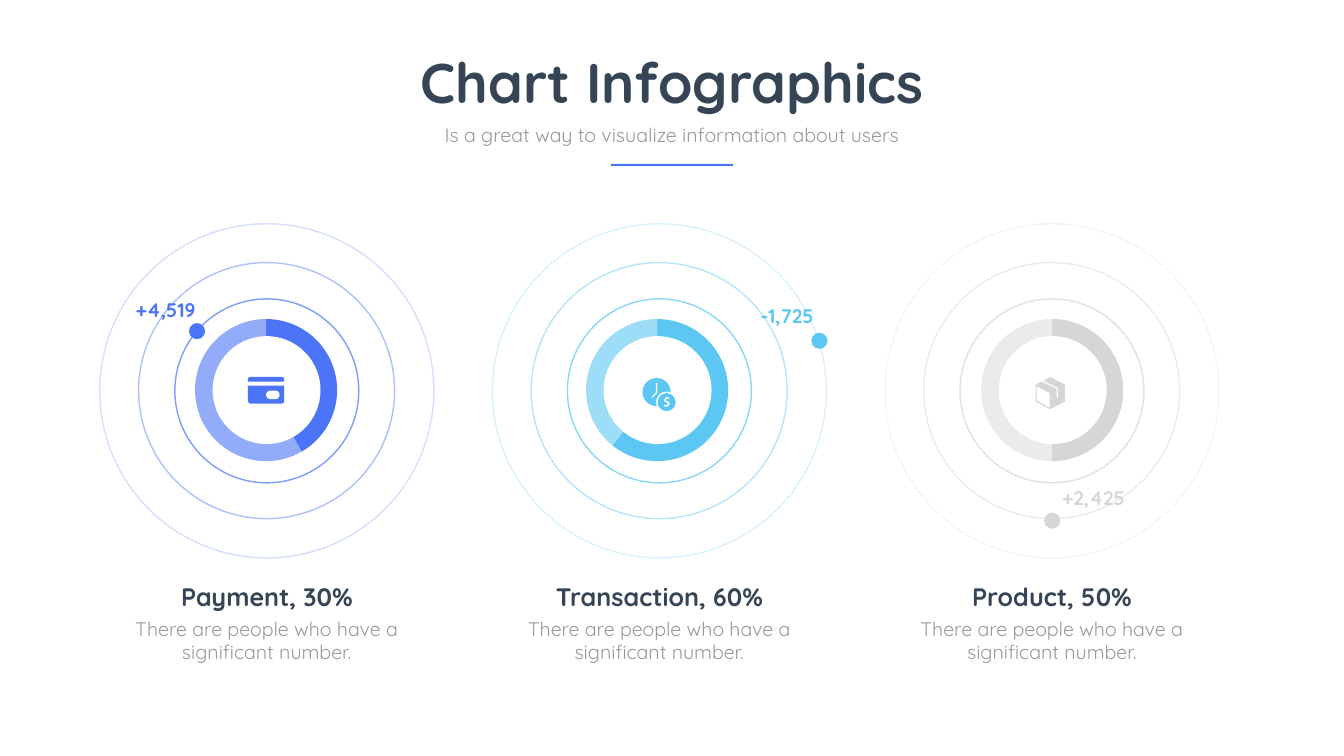
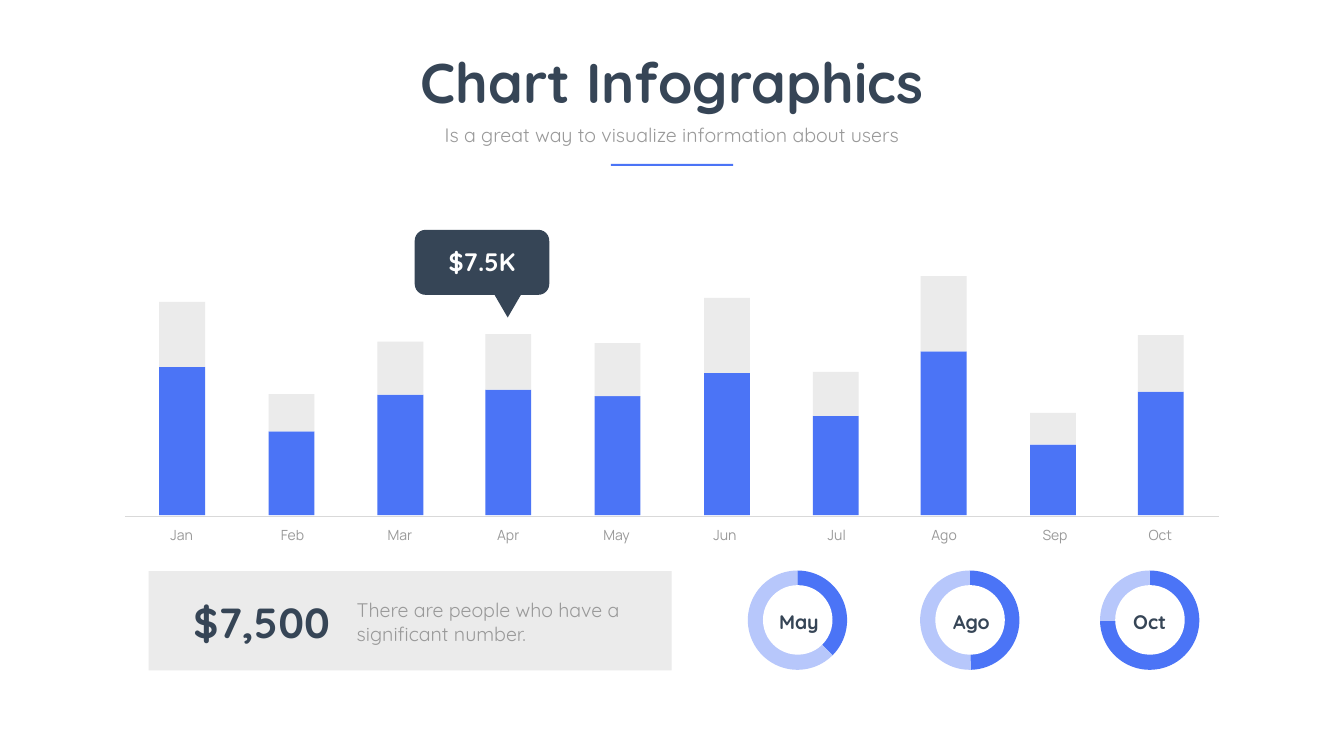
from dataclasses import dataclass

from lxml.etree import SubElement
from pptx import Presentation
from pptx.dml.color import RGBColor
from pptx.enum.shapes import MSO_CONNECTOR, MSO_SHAPE
from pptx.enum.text import MSO_AUTO_SIZE, PP_ALIGN
from pptx.oxml.ns import qn
from pptx.util import Pt

PX = 9144  # EMU per px, 100 px to the inch


@dataclass(frozen=True)
class Theme:
    blue: str = "4B74F6"
    blue_soft: str = "93ACFA"
    blue_pale: str = "B7C7FB"
    sky: str = "5BC7F2"
    sky_soft: str = "9DDDF7"
    silver: str = "D5D6D5"
    mist: str = "EBEBEB"
    axis: str = "D9D9D9"
    ink: str = "364556"
    grey: str = "999999"
    white: str = "FFFFFF"
    font: str = "Quicksand"
    axis_font: str = "Manrope"
    title: int = 80
    amount: int = 60
    heading: int = 36
    body: int = 28
    month: int = 20


theme = Theme()
TITLE = {"size": Pt(theme.title), "bold": True}
AMOUNT = {"size": Pt(theme.amount), "bold": True}
HEADING = {"size": Pt(theme.heading), "bold": True}
LABEL = {"size": Pt(theme.body), "bold": True}
BODY = {"size": Pt(theme.body), "bold": False}
MONTH = {"name": theme.axis_font, "size": Pt(theme.month), "bold": False}


def add_figure(slide, kind, left, top, width, height, fill=None, **format_values):
    figure = slide.shapes.add_shape(kind, left * PX, top * PX, width * PX, height * PX)
    figure.shadow.inherit = False
    figure.line.fill.background()
    if fill:
        figure.fill.solid()
        figure.fill.fore_color.rgb = RGBColor.from_string(fill)
    else:
        figure.fill.background()
    for attribute, value in format_values.items():
        setattr(figure, attribute, value)
    return figure


def add_text(slide, words, left, top, width, height, style, colour, **paragraph_format):
    box = slide.shapes.add_textbox(left * PX, top * PX, width * PX, height * PX)
    box.text_frame.word_wrap = True
    box.text_frame.auto_size = MSO_AUTO_SIZE.SHAPE_TO_FIT_TEXT
    paragraph = box.text_frame.paragraphs[0]
    for attribute, value in {"alignment": PP_ALIGN.CENTER, **paragraph_format}.items():
        setattr(paragraph, attribute, value)
    run = paragraph.add_run()
    run.text = words
    for attribute, value in {"name": theme.font, **style}.items():
        setattr(run.font, attribute, value)
    run.font.color.rgb = RGBColor.from_string(colour)


deck = Presentation()
deck.slide_width = 2667 * PX
deck.slide_height = 1500 * PX
orbits = deck.slides.add_slide(deck.slide_layouts[6])
months = deck.slides.add_slide(deck.slide_layouts[6])
caption = "There are people who have a significant number."

# Shared header
for slide in (orbits, months):
    add_text(slide, "Chart Infographics", 688, 90, 1291, 145, TITLE, theme.ink)
    add_text(slide, "Is a great way to visualize information about users",
             855, 238, 956, 57, BODY, theme.grey)
    add_figure(slide, MSO_SHAPE.RECTANGLE, 1212, 325, 243, 4, theme.blue)

# Progress donuts: slide, centre, diameter, hole, end angle, colour, track
donuts = [
    (orbits, 528, 774, 282, 214, 60, theme.blue, theme.blue_soft),
    (orbits, 1304, 774, 282, 214, 129, theme.sky, theme.sky_soft),
    (orbits, 2088, 774, 282, 214, 90, theme.silver, theme.mist),
    (months, 1582, 1230, 197, 138, 45, theme.blue, theme.blue_pale),
    (months, 1924, 1230, 197, 138, 89, theme.blue, theme.blue_pale),
    (months, 2281, 1230, 197, 138, 179, theme.blue, theme.blue_pale),
]
for slide, centre_x, centre_y, diameter, hole, end, colour, track in donuts:
    for start, stop, fill in ((270, end, colour), (end, 270, track)):
        sector = add_figure(slide, MSO_SHAPE.PIE, centre_x - diameter // 2,
                            centre_y - diameter // 2, diameter, diameter, fill)
        sector.adjustments[0] = start * 0.6
        sector.adjustments[1] = stop * 0.6
    add_figure(slide, MSO_SHAPE.OVAL, centre_x + 1 - hole // 2, centre_y - hole // 2,
               hole, hole, theme.white)

# Slide 1: orbits, captions and markers
topics = [
    ("Payment, 30%", theme.blue, (391, 657), "+4,519", (235, 586, 187)),
    ("Transaction, 60%", theme.sky, (1626, 676), "-1,725", (1466, 598, 192)),
    ("Product, 50%", theme.silver, (2088, 1033), "+2,425", (2074, 960, 192)),
]
for index, (topic, colour, dot, change, change_at) in enumerate(topics):
    centre_x = 529 + 779 * index
    for diameter, opacity in ((365, 70), (508, 44), (663, 22)):
        orbit = add_figure(orbits, MSO_SHAPE.OVAL, centre_x - diameter // 2,
                           775 - diameter // 2, diameter, diameter)
        orbit.line.color.rgb = RGBColor.from_string(colour)
        orbit.line.width = Pt(2)
        tint = next(orbit.line._ln.iter(qn("a:srgbClr")))
        SubElement(tint, qn("a:alpha"), val=str(opacity * 1000))
    add_text(orbits, caption, centre_x - 283, 1219, 566, 104, BODY, theme.grey)
    add_text(orbits, topic, centre_x - 226, 1148, 453, 71, HEADING, theme.ink)
    add_figure(orbits, MSO_SHAPE.OVAL, dot[0] - 16, dot[1] - 16, 32, 32, colour)
    add_text(orbits, change, *change_at, 57, LABEL, colour)

# Card icon
card_top = add_figure(orbits, MSO_SHAPE.ROUND_2_SAME_RECTANGLE, 492, 748, 72, 9, theme.blue)
card_top.adjustments[0] = 0.5
add_figure(orbits, MSO_SHAPE.ROUND_2_SAME_RECTANGLE, 492, 765, 72, 36, theme.blue, rotation=180)
clasp = add_figure(orbits, MSO_SHAPE.ROUNDED_RECTANGLE, 528, 775, 27, 17, theme.white)
clasp.adjustments[0] = 0.5

# Clock and coin icon
add_figure(orbits, MSO_SHAPE.OVAL, 1275, 750, 56, 56, theme.sky)
add_figure(orbits, MSO_SHAPE.OVAL, 1302, 777, 42, 42, theme.white)
add_figure(orbits, MSO_SHAPE.OVAL, 1305, 780, 36, 36, theme.sky)
clock_hands = [[(1303, 760), (1303, 779), (1294, 788)]]
dollar_sign = [
    [(1328, 790), (1322, 790), (1319, 794), (1322, 797),
     (1324, 797), (1328, 801), (1324, 805), (1318, 805)],
    [(1323, 787), (1323, 790)],
    [(1323, 805), (1323, 808)],
]

# Parcel icon
parcel = [
    [(2113, 763), (2084, 748), (2073, 754), (2072, 756), (2100, 770), (2100, 790),
     (2097, 790), (2097, 773), (2096, 771), (2067, 757), (2055, 763), (2055, 797),
     (2084, 812), (2113, 797)],
    [(2083, 809), (2057, 795), (2057, 766), (2083, 780)],
]
for contours, filled in ((clock_hands, False), (dollar_sign, False), (parcel, True)):
    builder = orbits.shapes.build_freeform(*contours[0][0], scale=PX)
    for number, contour in enumerate(contours):
        if number:
            builder.move_to(*contour[0])
        builder.add_line_segments(contour[1:], close=filled)
    outline = builder.convert_to_shape()
    outline.shadow.inherit = False
    if filled:
        outline.fill.solid()
        outline.fill.fore_color.rgb = RGBColor.from_string(theme.silver)
        outline.line.fill.background()
    else:
        outline.fill.background()
        outline.line.color.rgb = RGBColor.from_string(theme.white)
        outline.line.width = Pt(2)

# Slide 2: baseline under the columns
baseline = months.shapes.add_connector(MSO_CONNECTOR.STRAIGHT, 248 * PX, 1024 * PX,
                                       2418 * PX, 1024 * PX)
baseline.line.color.rgb = RGBColor.from_string(theme.axis)
baseline.line.width = Pt(1)
SubElement(baseline._element.spPr, qn("a:effectLst"))

# Columns: month, column left, label left, top, split between grey and blue
columns = [
    ("Jan", 316, 300, 599, 728), ("Feb", 533, 520, 782, 856),
    ("Mar", 749, 733, 678, 783), ("Apr", 963, 948, 663, 773),
    ("May", 1180, 1163, 681, 786), ("Jun", 1397, 1378, 591, 740),
    ("Jul", 1613, 1600, 738, 825), ("Ago", 1827, 1813, 548, 697),
    ("Sep", 2044, 2033, 819, 882), ("Oct", 2258, 2242, 665, 777),
]
for month, left, label_left, top, split in columns:
    add_figure(months, MSO_SHAPE.RECTANGLE, left, split, 91, 1022 - split, theme.blue)
    add_figure(months, MSO_SHAPE.RECTANGLE, left, top, 91, split - top, theme.mist)
    add_text(months, month, label_left, 1024, 121, 56, MONTH, theme.grey,
             line_spacing=Pt(35.6))

# Callout above April
add_figure(months, MSO_SHAPE.ROUNDED_RECTANGLE, 823, 456, 267, 129, theme.ink)
add_figure(months, MSO_SHAPE.ISOSCELES_TRIANGLE, 979, 581, 57, 49, theme.ink, rotation=180)
add_text(months, "$7.5K", 823, 483, 267, 71, HEADING, theme.white)

# Total panel
add_figure(months, MSO_SHAPE.RECTANGLE, 295, 1133, 1038, 197, theme.mist)
add_text(months, "$7,500", 374, 1178, 339, 111, AMOUNT, theme.ink, alignment=PP_ALIGN.LEFT)
add_text(months, caption, 698, 1182, 565, 104, BODY, theme.grey, alignment=PP_ALIGN.LEFT)

# Donut labels
for month, centre_x in (("May", 1585), ("Ago", 1927), ("Oct", 2281)):
    add_text(months, month, centre_x - 98, 1205, 197, 58, LABEL, theme.ink)

deck.save("out.pptx")
